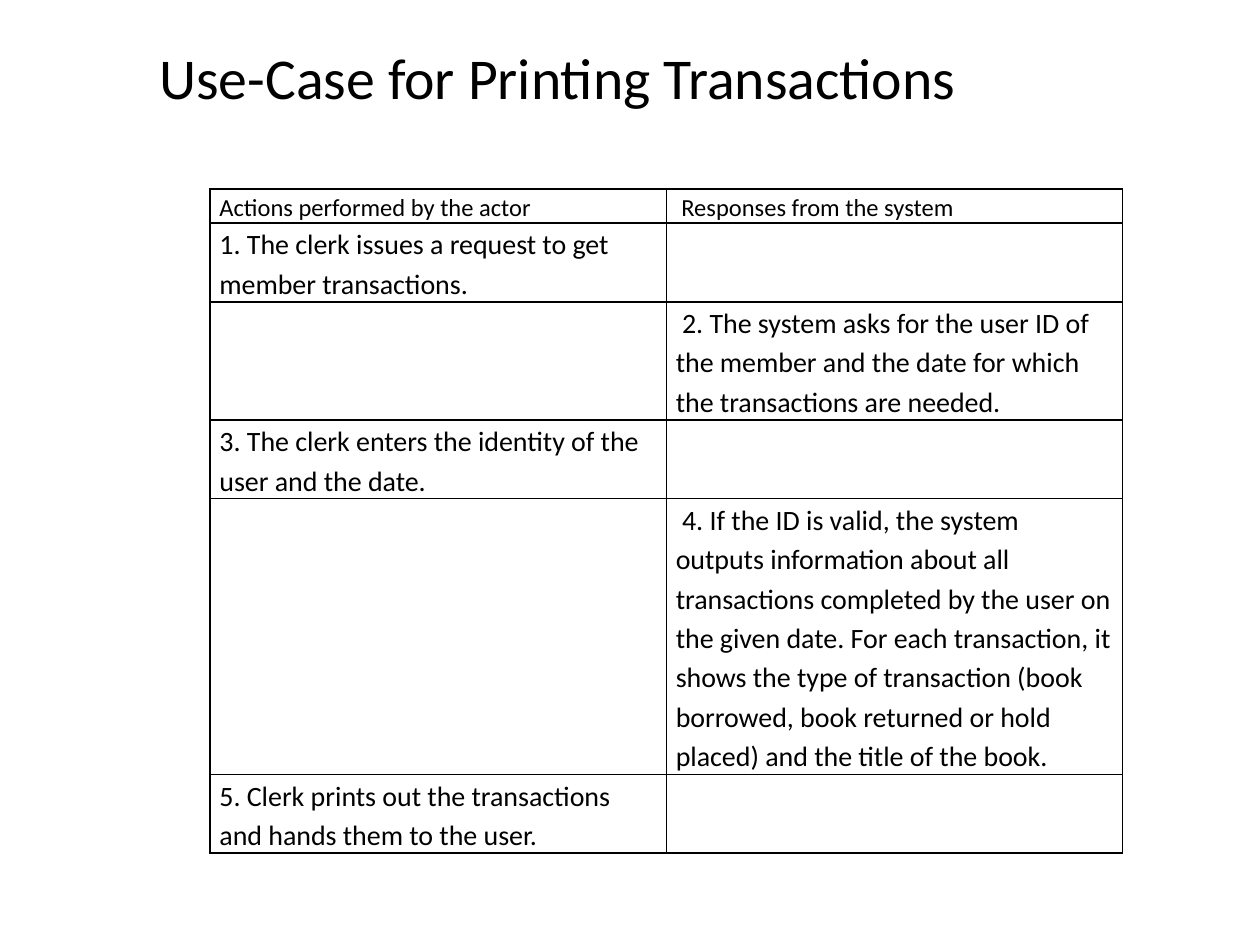
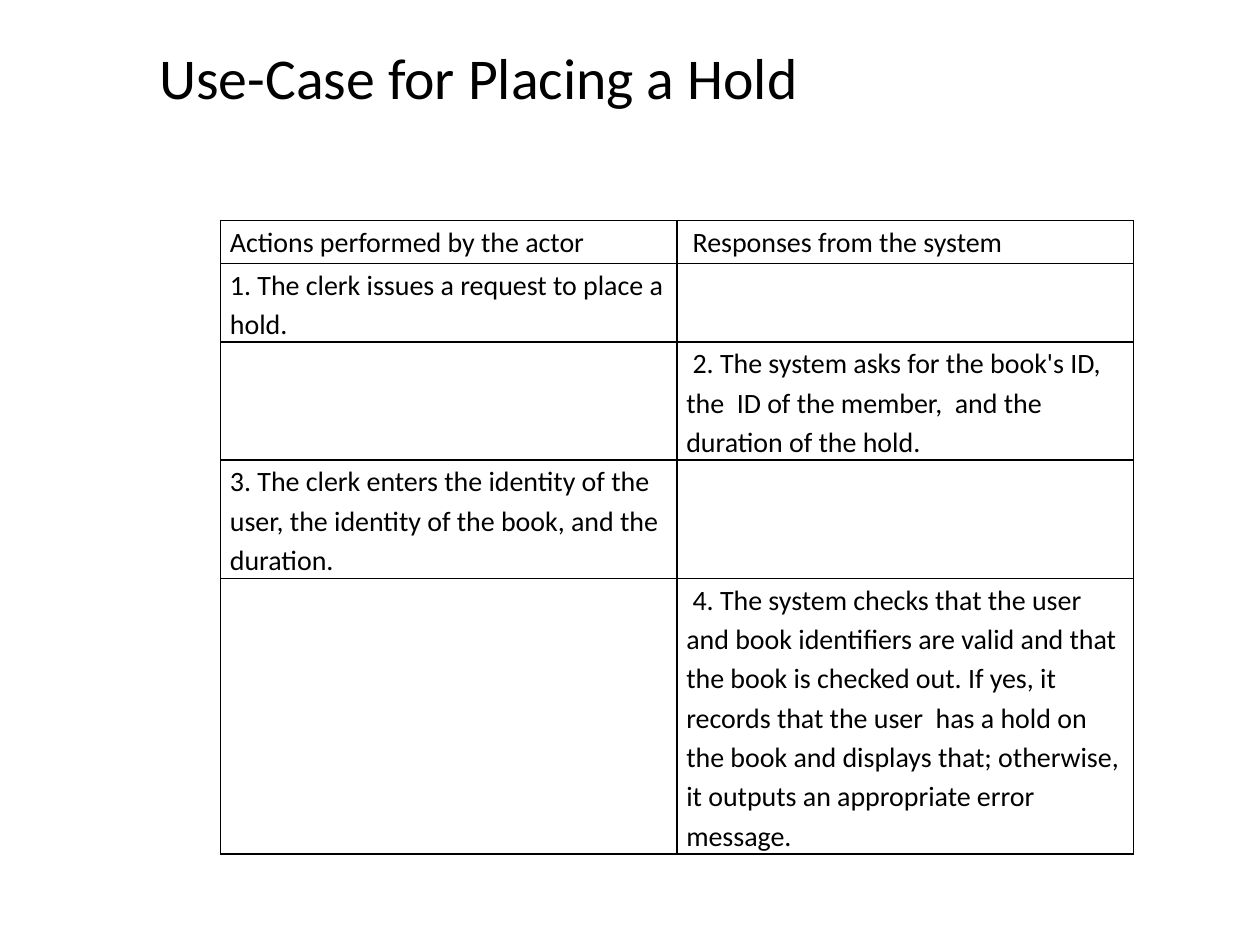
"""Build two use-case slides, each with a title and an actor/system table."""
from lxml import etree
from pptx import Presentation
from pptx.dml.color import RGBColor
from pptx.enum.text import MSO_ANCHOR
from pptx.oxml.ns import qn
from pptx.util import Pt

MIDDLE = MSO_ANCHOR.MIDDLE
TOP = MSO_ANCHOR.TOP

COLORS = {"text": "000000", "border": "000000", "paper": "FFFFFF"}
FONT = "Calibri"
TITLE_SIZE = 33
STEP_SIZE = 16
LINE_HEIGHT = 22.5
COLUMN_WIDTH = 260.8
CELL_MARGIN = 5.4
BORDER_WIDTH = 1
HEADINGS = ("Actions performed by the actor", " Responses from the system")

# Each step is its text and the number of lines it takes.
PRINTING_STEPS = [
    ("1. The clerk issues a request to get member transactions.", 2),
    (" 2. The system asks for the user ID of the member and the date for which "
     "the transactions are needed.", 3),
    ("3. The clerk enters the identity of the user and the date.", 2),
    (" 4. If the ID is valid, the system outputs information about all "
     "transactions completed by the user on the given date. For each transaction, "
     "it shows the type of transaction (book borrowed, book returned or hold "
     "placed) and the title of the book.", 7),
    ("5. Clerk prints out the transactions and hands them to the user.", 2),
]
HOLD_STEPS = [
    ("1. The clerk issues a request to place a hold.", 2),
    (" 2. The system asks for the book's ID,  the  ID of the member,  and the "
     "duration of the hold.", 3),
    ("3. The clerk enters the identity of the user, the identity of the book, "
     "and the duration.", 3),
    (" 4. The system checks that the user and book identifiers are valid and that "
     "the book is checked out. If yes, it records that the user  has a hold on "
     "the book and displays that; otherwise, it outputs an appropriate error "
     "message.", 7),
]


def write_text(text_frame, text, size, line_spacing):
    """Put one formatted run into the first paragraph of a text frame."""
    paragraph = text_frame.paragraphs[0]
    paragraph.line_spacing = line_spacing
    run = paragraph.add_run()
    run.text = text
    run.font.name = FONT
    run.font.size = Pt(size)
    run.font.color.rgb = RGBColor.from_string(COLORS["text"])


def add_title(slide, text):
    """Add the slide title, vertically centred in its box."""
    shape = slide.shapes.add_textbox(Pt(84), Pt(12), Pt(600), Pt(68.4))
    text_frame = shape.text_frame
    text_frame.word_wrap = True
    text_frame.vertical_anchor = MIDDLE
    write_text(text_frame, text, TITLE_SIZE, 0.9)


def style_cell(cell):
    """Give a cell its margins, four borders and no fill."""
    cell.margin_left = cell.margin_right = Pt(CELL_MARGIN)
    cell.margin_top = cell.margin_bottom = 0
    cell.vertical_anchor = TOP
    properties = cell._tc.get_or_add_tcPr()
    for side in ("a:lnL", "a:lnR", "a:lnT", "a:lnB"):
        line = etree.SubElement(properties, qn(side), w=str(Pt(BORDER_WIDTH)))
        fill = etree.SubElement(line, qn("a:solidFill"))
        etree.SubElement(fill, qn("a:srgbClr"), val=COLORS["border"])
    cell.fill.background()


def add_use_case_table(slide, left, top, heading_size, heading_height, steps):
    """Add a table whose steps alternate between the actor and the system."""
    heights = [heading_height] + [lines * LINE_HEIGHT for _, lines in steps]
    table = slide.shapes.add_table(
        len(heights), len(HEADINGS), Pt(left), Pt(top),
        Pt(COLUMN_WIDTH * len(HEADINGS)), Pt(sum(heights))).table
    table.first_row = False
    table.horz_banding = False
    for column in table.columns:
        column.width = Pt(COLUMN_WIDTH)
    for row, height in zip(table.rows, heights):
        row.height = Pt(height)
        for cell in row.cells:
            style_cell(cell)
    for column_index, heading in enumerate(HEADINGS):
        write_text(table.cell(0, column_index).text_frame, heading, heading_size, 1.15)
    for step_index, (text, _) in enumerate(steps):
        cell = table.cell(step_index + 1, step_index % 2)
        write_text(cell.text_frame, text, STEP_SIZE, 1.15)


def add_slide(presentation, title):
    """Add a blank slide with the shared background and title."""
    slide = presentation.slides.add_slide(presentation.slide_layouts[6])
    background = slide.background.fill
    background.solid()
    background.fore_color.rgb = RGBColor.from_string(COLORS["paper"])
    add_title(slide, title)
    return slide


def main():
    """Build and save the presentation."""
    presentation = Presentation()
    presentation.slide_width = Pt(720)
    presentation.slide_height = Pt(540)
    slide = add_slide(presentation, "Use-Case for Printing Transactions")
    add_use_case_table(slide, 120, 108, 14, 19.5, PRINTING_STEPS)
    slide = add_slide(presentation, "Use-Case for Placing a Hold")
    add_use_case_table(slide, 126, 126, 16, 24.5, HOLD_STEPS)
    presentation.save("out.pptx")


if __name__ == "__main__":
    main()
